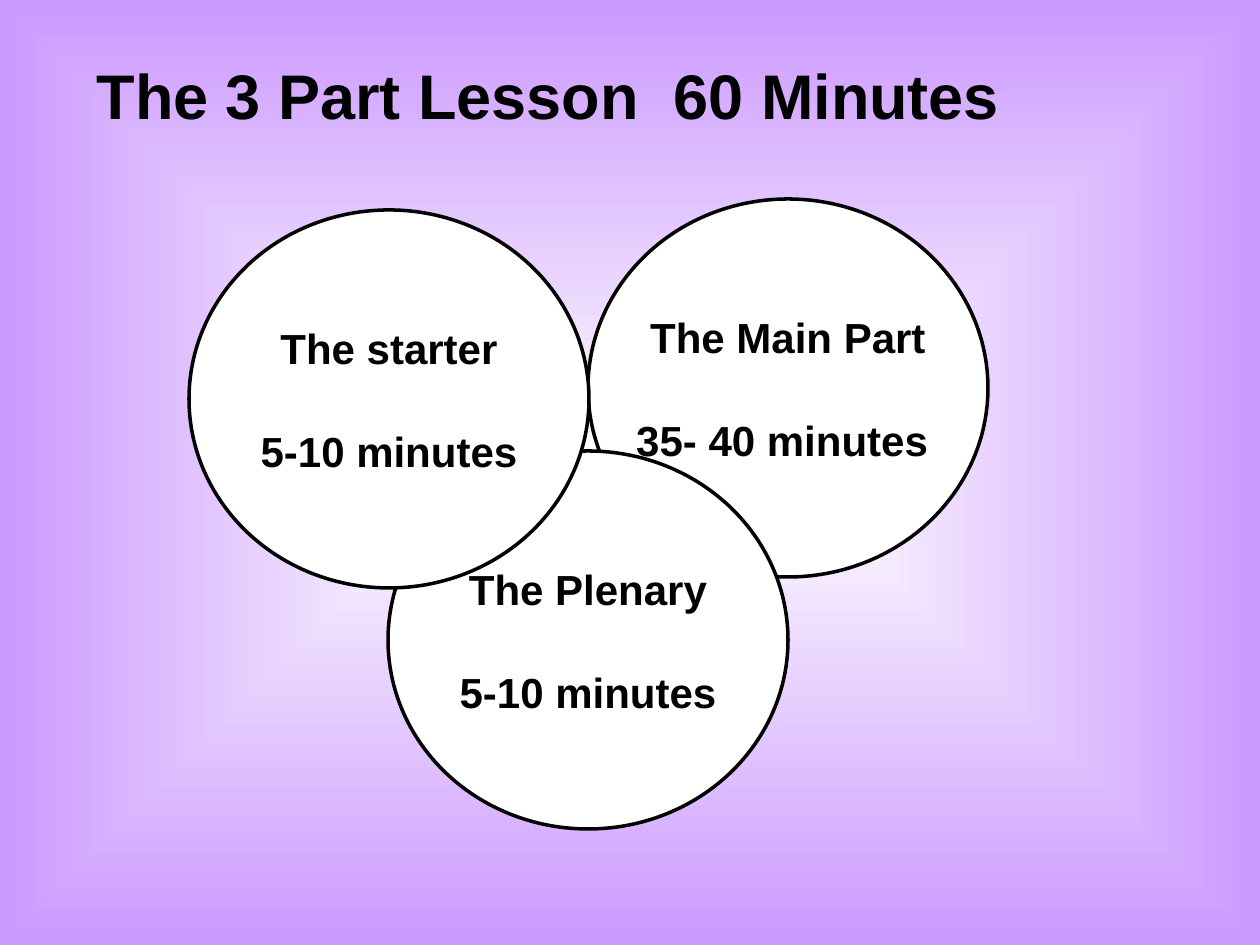
from lxml.etree import SubElement
from pptx import Presentation
from pptx.dml.color import RGBColor
from pptx.enum.shapes import MSO_SHAPE
from pptx.enum.text import MSO_ANCHOR, MSO_AUTO_SIZE, PP_ALIGN
from pptx.oxml.ns import qn
from pptx.util import Emu, Pt

TITLE = "The 3 Part Lesson  60 Minutes"
TITLE_BOX = (84, 42, 1071, 105)
CIRCLE_SIZE = (400, 378)
CIRCLES = [
    (588, 199, ["The Main Part", "35- 40 minutes "]),
    (388, 451, ["The Plenary", "5-10 minutes"]),
    (189, 210, ["The starter", "5-10 minutes"]),
]
COLORS = {"center": "FFFFFF", "edge": "CC99FF", "circle": "FFFFFF", "ink": "000000"}
FONT = "Arial"
EMU_PER_PX = 914400 / 126


def px(*lengths):
    return [Emu(round(length * EMU_PER_PX)) for length in lengths]


def color(name):
    return RGBColor.from_string(COLORS[name])


def add_text(paragraph, text, size, alignment):
    paragraph.alignment = alignment
    run = paragraph.add_run()
    run.text = text
    run.font.name = FONT
    run.font.size = Pt(size)
    run.font.bold = True
    run.font.color.rgb = color("ink")


def paint_background(slide):
    fill = slide.background.fill
    fill.gradient()
    for stop, name in zip(fill.gradient_stops, ("center", "edge")):
        stop.color.rgb = color(name)
    gradient = slide.element.find(".//" + qn("a:gradFill"))
    linear = gradient.find(qn("a:lin"))
    radial = linear.makeelement(qn("a:path"), {"path": "rect"})
    SubElement(radial, qn("a:fillToRect"), dict.fromkeys("ltrb", "50000"))
    gradient.replace(linear, radial)


def add_title(slide):
    title = slide.shapes.title
    title.left, title.top, title.width, title.height = px(*TITLE_BOX)
    frame = title.text_frame
    frame.auto_size = MSO_AUTO_SIZE.NONE
    frame.vertical_anchor = MSO_ANCHOR.MIDDLE
    add_text(frame.paragraphs[0], TITLE, 36, PP_ALIGN.LEFT)


def add_circle(slide, left, top, lines):
    circle = slide.shapes.add_shape(MSO_SHAPE.OVAL, *px(left, top, *CIRCLE_SIZE))
    circle.shadow.inherit = False
    circle.fill.solid()
    circle.fill.fore_color.rgb = color("circle")
    circle.line.color.rgb = color("ink")
    circle.line.width = Pt(2)
    frame = circle.text_frame
    frame.word_wrap = False
    frame.vertical_anchor = MSO_ANCHOR.MIDDLE
    for index, line in enumerate(lines):
        paragraph = frame.add_paragraph() if index else frame.paragraphs[0]
        add_text(paragraph, line, 24, PP_ALIGN.CENTER)
        if index:
            paragraph.space_before = Pt(30)


def main():
    presentation = Presentation()
    presentation.slide_width, presentation.slide_height = px(1260, 945)
    slide = presentation.slides.add_slide(presentation.slide_layouts[5])
    paint_background(slide)
    add_title(slide)
    for left, top, lines in CIRCLES:
        add_circle(slide, left, top, lines)
    presentation.save("out.pptx")


if __name__ == "__main__":
    main()
